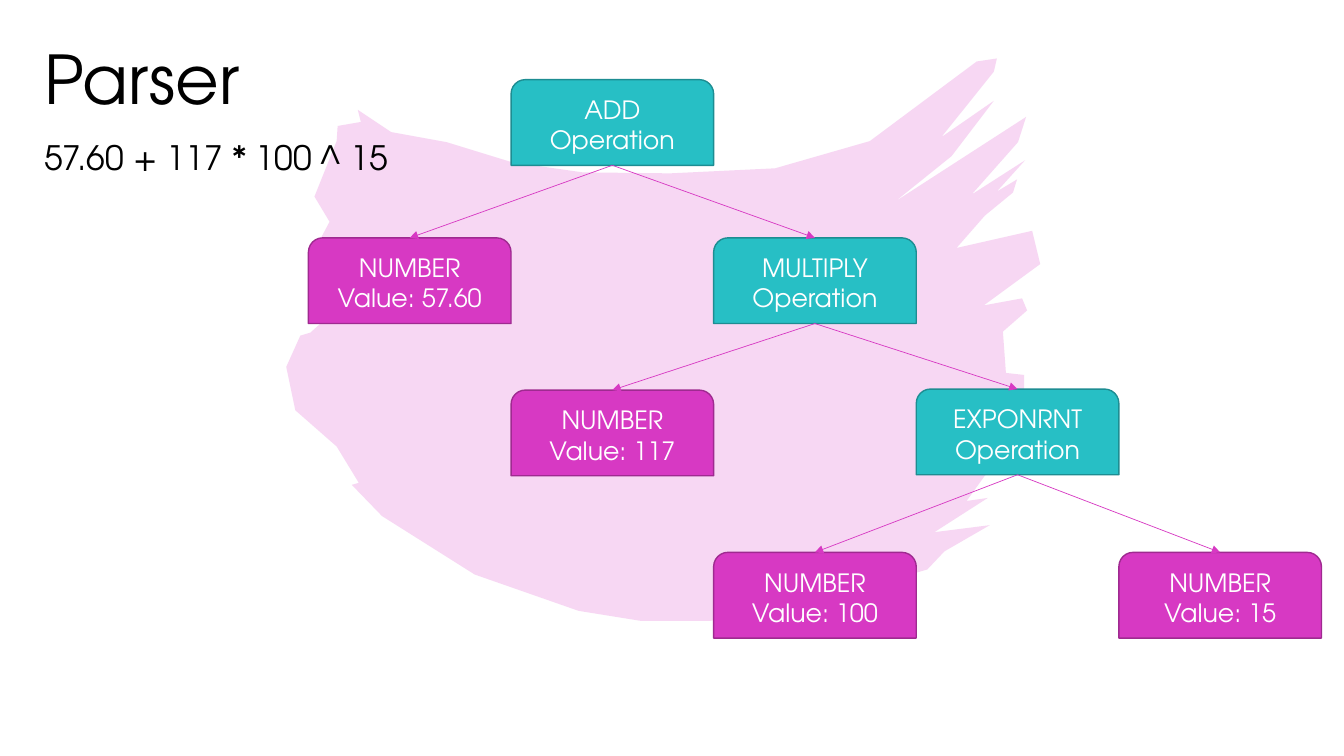
import dataclasses
import typing

import lxml.etree
import pptx
import pptx.dml.color
import pptx.enum.shapes
import pptx.enum.text
import pptx.oxml.ns
import pptx.util

Pt = pptx.util.Pt
qn = pptx.oxml.ns.qn
SHAPES = pptx.enum.shapes.MSO_SHAPE
ANCHOR = pptx.enum.text.MSO_ANCHOR
ALIGN = pptx.enum.text.PP_ALIGN
FONT = "TeX Gyre Adventor"
COLORS = {
    "black": "000000",
    "white": "FFFFFF",
    "operation": "27BFC5",
    "operation_line": "1D8D92",
    "number": "D739C3",
    "number_line": "9F2A90",
}
NODE_WIDTH, NODE_HEIGHT = 144.72, 61.2
FIRST_COLUMN = 220.32
TEXT_LEFT, TEXT_WIDTH = 24.48, 277.2
BRUSH_UNIT = 0.72

BRUSH_OUTLINE = [
    (443, 141), (508, 161), (578, 171), (665, 172), (769, 167), (863, 140),
    (969, 61), (989, 58), (986, 71), (934, 136), (986, 100), (944, 155),
    (888, 200), (1018, 116), (1010, 141), (964, 193), (1017, 159), (989, 190),
    (1009, 178), (1005, 191), (977, 214), (949, 246), (1024, 229), (1032, 262),
    (976, 303), (1014, 296), (1019, 308), (995, 329), (998, 370), (1016, 372),
    (1016, 386), (1048, 403), (987, 447), (1024, 434), (977, 472), (959, 497),
    (980, 494), (927, 528), (982, 521), (937, 547), (920, 565), (793, 602),
    (704, 616), (636, 616), (574, 606), (471, 570), (379, 512), (349, 481),
    (356, 479), (334, 443), (293, 407), (284, 364), (298, 333), (308, 330),
    (329, 311), (310, 287), (319, 264), (337, 253), (319, 235), (327, 220),
    (312, 195), (334, 140), (335, 125), (358, 121), (355, 109), (388, 131),
]


@dataclasses.dataclass(frozen=True)
class Node:
    kind: str
    lines: tuple[str, ...]
    column: int
    top: float

    @property
    def left(self) -> float:
        return FIRST_COLUMN + self.column * NODE_WIDTH

    @property
    def center(self) -> float:
        return self.left + NODE_WIDTH / 2


ADD = Node("operation", ("ADD Operation",), 1, 56.88)
NUMBER_57 = Node("number", ("NUMBER", "Value: 57.60"), 0, 169.92)
MULTIPLY = Node("operation", ("MULTIPLY Operation",), 2, 169.92)
NUMBER_117 = Node("number", ("NUMBER", "Value: 117"), 1, 278.64)
EXPONENT = Node("operation", ("EXPONRNT Operation",), 3, 277.92)
NUMBER_100 = Node("number", ("NUMBER", "Value: 100"), 2, 394.56)
NUMBER_15 = Node("number", ("NUMBER", "Value: 15"), 4, 394.56)
TREE = {
    ADD: (NUMBER_57, MULTIPLY),
    MULTIPLY: (NUMBER_117, EXPONENT),
    EXPONENT: (NUMBER_100, NUMBER_15),
}


def color(name: str) -> pptx.dml.color.RGBColor:
    return pptx.dml.color.RGBColor.from_string(COLORS[name])


def write_text(shape: typing.Any, *lines: str, size: float, ink: str = "black",
               align: typing.Any = ALIGN.LEFT, anchor: typing.Any = ANCHOR.TOP,
               before: float = 0, spacing: float = 1.0) -> None:
    frame = shape.text_frame
    frame.word_wrap = True
    frame.vertical_anchor = anchor
    for index, line in enumerate(lines):
        paragraph = frame.add_paragraph() if index else frame.paragraphs[0]
        paragraph.alignment = align
        paragraph.space_before = Pt(before)
        paragraph.line_spacing = spacing
        run = paragraph.add_run()
        run.text = line
        run.font.name = FONT
        run.font.size = Pt(size)
        run.font.color.rgb = color(ink)


def draw_brush(slide: typing.Any) -> None:
    builder = slide.shapes.build_freeform(*BRUSH_OUTLINE[0], scale=Pt(BRUSH_UNIT))
    builder.add_line_segments(BRUSH_OUTLINE[1:])
    shape = builder.convert_to_shape()
    shape.shadow.inherit = False
    shape.line.fill.background()
    shape.fill.solid()
    shape.fill.fore_color.rgb = color("number")
    tint = shape.element.spPr.find(qn("a:solidFill")).find(qn("a:srgbClr"))
    lxml.etree.SubElement(tint, qn("a:alpha"), val="20000")


def draw_node(slide: typing.Any, node: Node) -> None:
    shape = slide.shapes.add_shape(SHAPES.ROUND_2_SAME_RECTANGLE, Pt(node.left),
                                   Pt(node.top), Pt(NODE_WIDTH), Pt(NODE_HEIGHT))
    shape.shadow.inherit = False
    shape.fill.solid()
    shape.fill.fore_color.rgb = color(node.kind)
    shape.line.color.rgb = color(node.kind + "_line")
    shape.line.width = Pt(1)
    write_text(shape, *node.lines, size=18, ink="white",
               align=ALIGN.CENTER, anchor=ANCHOR.MIDDLE)


def draw_arrow(slide: typing.Any, parent: Node, child: Node) -> None:
    connector = slide.shapes.add_connector(
        pptx.enum.shapes.MSO_CONNECTOR.STRAIGHT, Pt(parent.center),
        Pt(parent.top + NODE_HEIGHT), Pt(child.center), Pt(child.top))
    connector.line.color.rgb = color("number")
    connector.line.width = Pt(0.5)
    properties = connector.element.spPr
    lxml.etree.SubElement(properties.find(qn("a:ln")), qn("a:tailEnd"), type="triangle")
    lxml.etree.SubElement(properties, qn("a:effectLst"))


def main() -> None:
    presentation = pptx.Presentation()
    presentation.slide_width, presentation.slide_height = Pt(960), Pt(540)
    slide = presentation.slides.add_slide(presentation.slide_layouts[6])
    draw_brush(slide)
    title = slide.shapes.add_textbox(Pt(TEXT_LEFT), Pt(27.36), Pt(TEXT_WIDTH), Pt(61.2))
    write_text(title, "Parser", size=48, anchor=ANCHOR.BOTTOM, spacing=0.9)
    expression = slide.shapes.add_textbox(Pt(TEXT_LEFT), Pt(94.32), Pt(TEXT_WIDTH), Pt(42.48))
    write_text(expression, "57.60 + 117 * 100 ^ 15", size=24, before=10)
    draw_node(slide, ADD)
    for parent, children in TREE.items():
        for child in children:
            draw_node(slide, child)
            draw_arrow(slide, parent, child)
    presentation.save("out.pptx")


if __name__ == "__main__":
    main()
